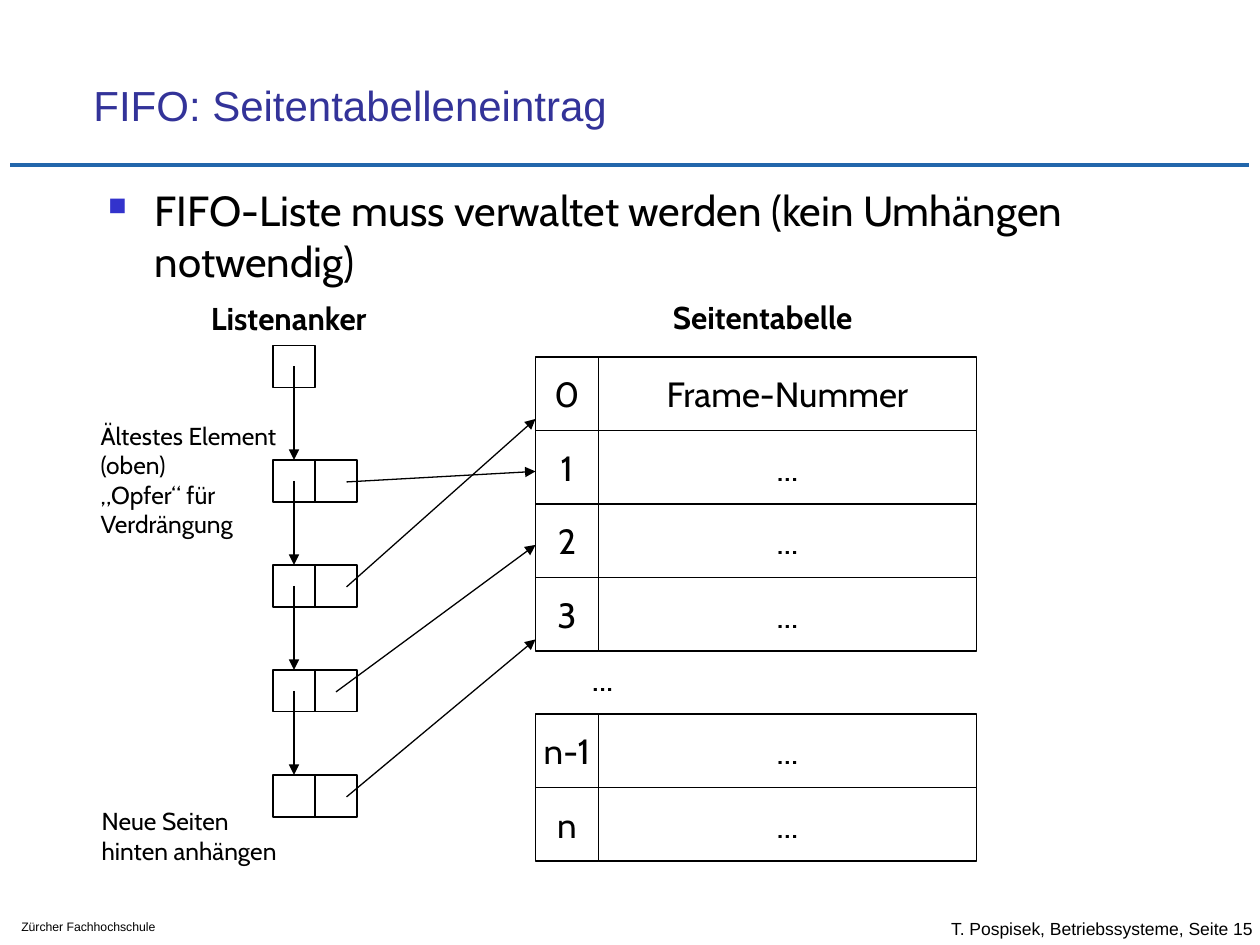
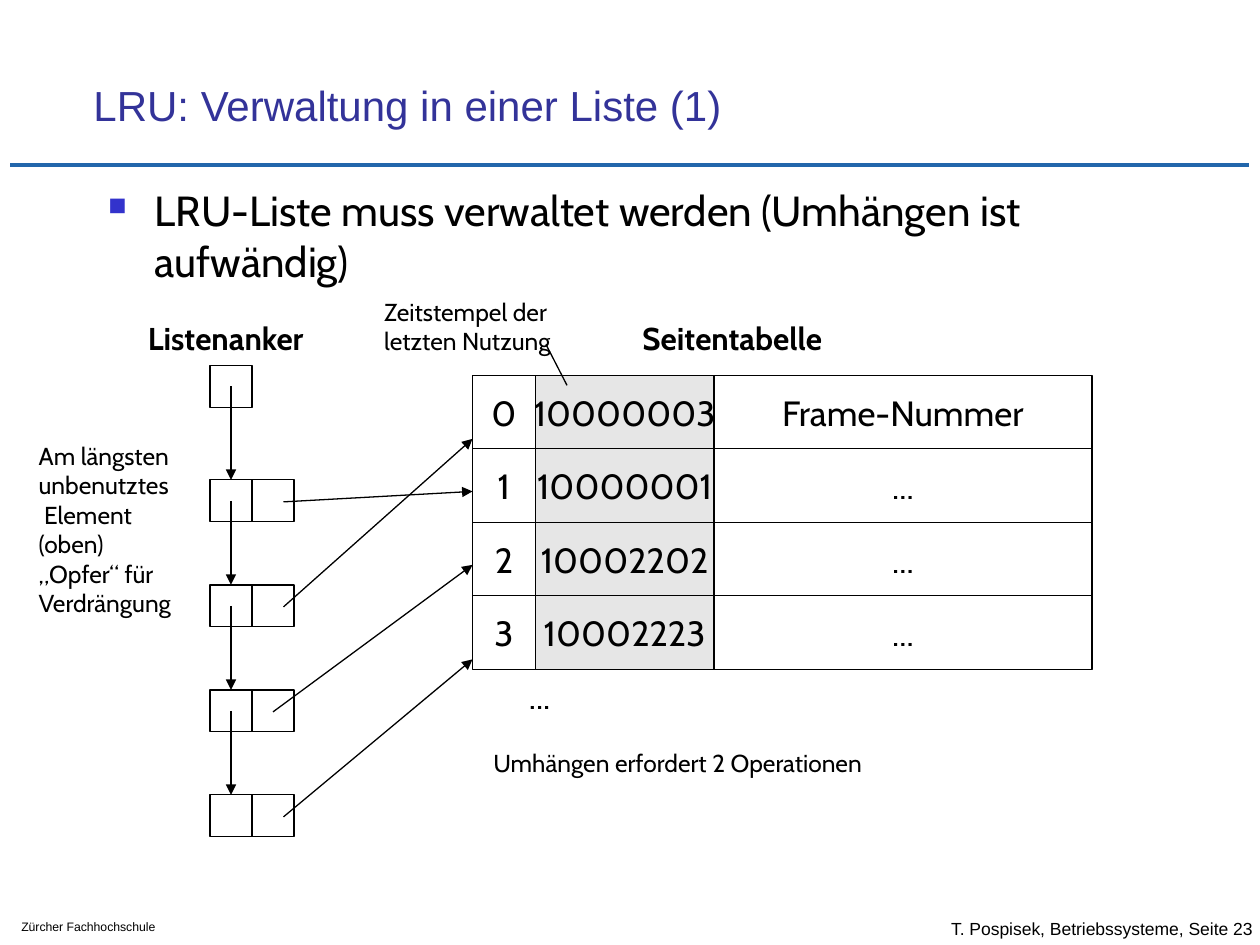
from dataclasses import dataclass

import pptx
import pptx.dml.color
import pptx.enum.shapes
import pptx.enum.text
import pptx.oxml.ns
import pptx.presentation
import pptx.shapes.autoshape
import pptx.shapes.connector
import pptx.slide
import pptx.text.text
import pptx.util
from lxml import etree

ANCHOR = pptx.enum.text.MSO_ANCHOR
ALIGN = pptx.enum.text.PP_ALIGN
AUTO_SIZE = pptx.enum.text.MSO_AUTO_SIZE


@dataclass(frozen=True)
class Theme:
    heading_font: str = "Arial"
    body_font: str = "Cabin"
    text: str = "000000"
    title: str = "333399"
    rule: str = "2266AB"
    bullet: str = "3333CC"
    paper: str = "FFFFFF"
    stamp: str = "E6E6E6"
    title_size: int = 24
    cell_size: int = 20
    label_size: int = 18
    note_size: int = 14
    footer_size: int = 10
    school_size: int = 7
    thin: float = 0.75
    thick: float = 2.5


@dataclass(frozen=True)
class Point:
    """A place on the grid of 120 columns and 90 rows."""
    column: float
    row: float

    def moved(self, columns: float, rows: float) -> "Point":
        return Point(self.column + columns, self.row + rows)


@dataclass(frozen=True)
class Note:
    at: Point
    width: float
    height: float
    lines: tuple[str, ...]
    size: int
    bold: bool = False


@dataclass(frozen=True)
class TableColumn:
    width: float
    fill: str


@dataclass(frozen=True)
class RowBlock:
    """Adjoining table rows, starting some grid rows below the table top."""
    offset: float
    rows: tuple[tuple[str, ...], ...]


@dataclass(frozen=True)
class ListSlide:
    title: str
    statement: str
    statement_height: float
    page: int
    list_at: Point
    table_at: Point
    columns: tuple[TableColumn, ...]
    blocks: tuple[RowBlock, ...]
    notes: tuple[Note, ...]
    callout: tuple[Point, ...] = ()


THEME = Theme()
SLIDE_WIDTH = pptx.util.Inches(10)
SLIDE_HEIGHT = pptx.util.Inches(7.5)
GRID_COLUMNS, GRID_ROWS = 120, 90

BOX = 4
ROW_HEIGHT = 7
NODE_COUNT = 4
FIRST_NODE, NODE_STEP = 10.9, 10
TABLE_SIDE = 25
# Start column, node index and end row of each pointer, from the list corner
POINTERS = ((7, 0, 12), (7, 1, 7), (6, 2, 19), (7, 3, 28))

INDEX_COLUMN = TableColumn(6, THEME.paper)
STAMP_COLUMN = TableColumn(17, THEME.stamp)
FRAME_COLUMN = TableColumn(36, THEME.paper)

SLIDES = (
    ListSlide(
        title="FIFO: Seitentabelleneintrag",
        statement="FIFO-Liste muss verwaltet werden (kein Umhängen notwendig)",
        statement_height=14,
        page=15,
        list_at=Point(26, 32.9),
        table_at=Point(51, 34),
        columns=(INDEX_COLUMN, FRAME_COLUMN),
        blocks=(
            RowBlock(0, (("0", "Frame-Nummer"), ("1", "..."), ("2", "..."), ("3", "..."))),
            RowBlock(34, (("n-1", "..."), ("n", "..."))),
        ),
        notes=(
            Note(Point(62.9, 27.8), 22.2, 4.8, ("Seitentabelle",), THEME.label_size, True),
            Note(Point(8.4, 39.5), 21.2, 12.4,
                 ("Ältestes Element", "(oben)", "„Opfer“ für", "Verdrängung"), THEME.note_size),
            Note(Point(8.5, 76.2), 21.2, 6.8, ("Neue Seiten", "hinten anhängen"), THEME.note_size),
        ),
    ),
    ListSlide(
        title="LRU: Verwaltung in einer Liste (1)",
        statement="LRU-Liste muss verwaltet werden (Umhängen ist aufwändig)",
        statement_height=59,
        page=23,
        list_at=Point(20, 34.8),
        table_at=Point(45, 35.75),
        columns=(INDEX_COLUMN, STAMP_COLUMN, FRAME_COLUMN),
        blocks=(
            RowBlock(0, (("0", "10000003", "Frame-Nummer"), ("1", "10000001", "..."),
                         ("2", "10002202", "..."), ("3", "10002223", "..."))),
        ),
        notes=(
            Note(Point(60, 29.8), 22.2, 4.8, ("Seitentabelle",), THEME.label_size, True),
            Note(Point(2.5, 41.4), 16.9, 18,
                 ("Am längsten", "unbenutztes", " Element", "(oben)", "„Opfer“ für",
                  "Verdrängung"), THEME.note_size),
            Note(Point(35.4, 27.7), 20.3, 6.8, ("Zeitstempel der", "letzten Nutzung"),
                 THEME.note_size),
            Note(Point(45.8, 70.6), 38.8, 6.8, ("Umhängen erfordert 2 Operationen",),
                 THEME.note_size),
        ),
        callout=(Point(52, 32.8), Point(54, 36.7)),
    ),
)


def across(columns: float) -> pptx.util.Emu:
    return pptx.util.Emu(round(SLIDE_WIDTH * columns / GRID_COLUMNS))


def down(rows: float) -> pptx.util.Emu:
    return pptx.util.Emu(round(SLIDE_HEIGHT * rows / GRID_ROWS))


def color(value: str) -> pptx.dml.color.RGBColor:
    return pptx.dml.color.RGBColor.from_string(value)


def add_run(paragraph: pptx.text.text._Paragraph, text: str, size: int,
            font: str = THEME.body_font, ink: str = THEME.text, bold: bool = False) -> None:
    run = paragraph.add_run()
    run.text = text
    run.font.name = font
    run.font.size = pptx.util.Pt(size)
    run.font.bold = bold
    run.font.color.rgb = color(ink)


def add_text_box(slide: pptx.slide.Slide, at: Point, width: float, height: float,
                 wrap: bool = True) -> pptx.text.text.TextFrame:
    shape = slide.shapes.add_textbox(across(at.column), down(at.row), across(width), down(height))
    shape.text_frame.word_wrap = wrap
    return shape.text_frame


def add_note(slide: pptx.slide.Slide, note: Note) -> None:
    frame = add_text_box(slide, note.at, note.width, note.height, wrap=False)
    frame.auto_size = AUTO_SIZE.SHAPE_TO_FIT_TEXT
    for index, line in enumerate(note.lines):
        paragraph = frame.add_paragraph() if index else frame.paragraphs[0]
        add_run(paragraph, line, note.size, bold=note.bold)


def add_box(slide: pptx.slide.Slide, at: Point, width: float = BOX, height: float = BOX,
            fill: str = THEME.paper, text: str = "") -> pptx.shapes.autoshape.Shape:
    shape = slide.shapes.add_shape(pptx.enum.shapes.MSO_SHAPE.RECTANGLE, across(at.column),
                                   down(at.row), across(width), down(height))
    shape.shadow.inherit = False
    shape.fill.solid()
    shape.fill.fore_color.rgb = color(fill)
    shape.line.color.rgb = color(THEME.text)
    shape.line.width = pptx.util.Pt(THEME.thin)
    if text:
        frame = shape.text_frame
        frame.word_wrap = False
        frame.vertical_anchor = ANCHOR.MIDDLE
        frame.paragraphs[0].alignment = ALIGN.CENTER
        add_run(frame.paragraphs[0], text, THEME.cell_size)
    return shape


def add_line(slide: pptx.slide.Slide, start: Point, end: Point, ink: str = THEME.text,
             width: float = THEME.thin, arrow: bool = False) -> pptx.shapes.connector.Connector:
    line = slide.shapes.add_connector(pptx.enum.shapes.MSO_CONNECTOR.STRAIGHT,
                                      across(start.column), down(start.row),
                                      across(end.column), down(end.row))
    line.line.color.rgb = color(ink)
    line.line.width = pptx.util.Pt(width)
    properties = line._element.spPr
    if arrow:
        outline = properties.find(pptx.oxml.ns.qn("a:ln"))
        etree.SubElement(outline, pptx.oxml.ns.qn("a:tailEnd"), type="triangle")
    etree.SubElement(properties, pptx.oxml.ns.qn("a:effectLst"))
    return line


def add_frame(slide: pptx.slide.Slide, content: ListSlide) -> None:
    """Format the title and add the rule and both footers."""
    title = slide.shapes.title
    title.left, title.top = across(7.7), down(4)
    title.width, title.height = across(102.2), down(9)
    frame = title.text_frame
    frame.auto_size = AUTO_SIZE.NONE
    frame.vertical_anchor = ANCHOR.BOTTOM
    frame.paragraphs[0].alignment = ALIGN.LEFT
    add_run(frame.paragraphs[0], content.title, THEME.title_size, THEME.heading_font, THEME.title)

    add_line(slide, Point(1, 15.7), Point(119, 15.7), THEME.rule, THEME.thick)
    footer = add_text_box(slide, Point(89.4, 86.4), 41.2, 4)
    footer.vertical_anchor = ANCHOR.MIDDLE
    add_run(footer.paragraphs[0], f"T. Pospisek, Betriebssysteme, Seite {content.page}",
            THEME.footer_size, THEME.heading_font)
    school = add_text_box(slide, Point(0.85, 87), 20.6, 2.6)
    add_run(school.paragraphs[0], "Zürcher Fachhochschule", THEME.school_size, THEME.heading_font)


def add_statement(slide: pptx.slide.Slide, content: ListSlide) -> None:
    frame = add_text_box(slide, Point(9, 17), 102, content.statement_height)
    paragraph = frame.paragraphs[0]
    properties = paragraph._p.get_or_add_pPr()
    properties.set("marL", str(pptx.util.Inches(0.38)))
    properties.set("indent", str(-pptx.util.Inches(0.37)))
    bullet_color = etree.SubElement(properties, pptx.oxml.ns.qn("a:buClr"))
    etree.SubElement(bullet_color, pptx.oxml.ns.qn("a:srgbClr"), val=THEME.bullet)
    etree.SubElement(properties, pptx.oxml.ns.qn("a:buSzPct"), val="60000")
    etree.SubElement(properties, pptx.oxml.ns.qn("a:buChar"), char="■")
    add_run(paragraph, content.statement, THEME.title_size)


def add_page_table(slide: pptx.slide.Slide, content: ListSlide) -> None:
    for block in content.blocks:
        for index, row in enumerate(block.rows):
            corner = content.table_at.moved(0, block.offset + index * ROW_HEIGHT)
            for column, text in zip(content.columns, row):
                add_box(slide, corner, column.width, ROW_HEIGHT, column.fill, text)
                corner = corner.moved(column.width, 0)
    add_note(slide, Note(content.table_at.moved(4.2, 27.9), 5, 5.2, ("...",), THEME.cell_size))


def add_linked_list(slide: pptx.slide.Slide, corner: Point) -> None:
    """Draw the anchor, its chained nodes and their pointers into the table."""
    add_note(slide, Note(corner.moved(-7.1, -5.05), 20.3, 4.8, ("Listenanker",),
                         THEME.label_size, True))
    add_box(slide, corner)
    nodes = [corner.moved(0, FIRST_NODE + index * NODE_STEP) for index in range(NODE_COUNT)]
    heads = [add_box(slide, node) for node in nodes]
    for node in nodes:
        add_box(slide, node.moved(BOX, 0))
    for previous, node, head in zip([corner, *nodes], nodes, heads):
        stem = add_line(slide, previous.moved(BOX / 2, BOX / 2), node.moved(BOX / 2, 0), arrow=True)
        stem.end_connect(head, 0)
    for start_column, index, end_row in POINTERS:
        add_line(slide, nodes[index].moved(start_column, 2.1),
                 corner.moved(TABLE_SIDE, end_row), arrow=True)


def add_list_slide(presentation: pptx.presentation.Presentation, content: ListSlide) -> None:
    slide = presentation.slides.add_slide(presentation.slide_layouts.get_by_name("Title Only"))
    add_frame(slide, content)
    add_statement(slide, content)
    add_page_table(slide, content)
    add_linked_list(slide, content.list_at)
    for note in content.notes:
        add_note(slide, note)
    if content.callout:
        add_line(slide, *content.callout)


def main() -> None:
    presentation = pptx.Presentation()
    presentation.slide_width = SLIDE_WIDTH
    presentation.slide_height = SLIDE_HEIGHT
    for content in SLIDES:
        add_list_slide(presentation, content)
    presentation.save("out.pptx")


if __name__ == "__main__":
    main()
